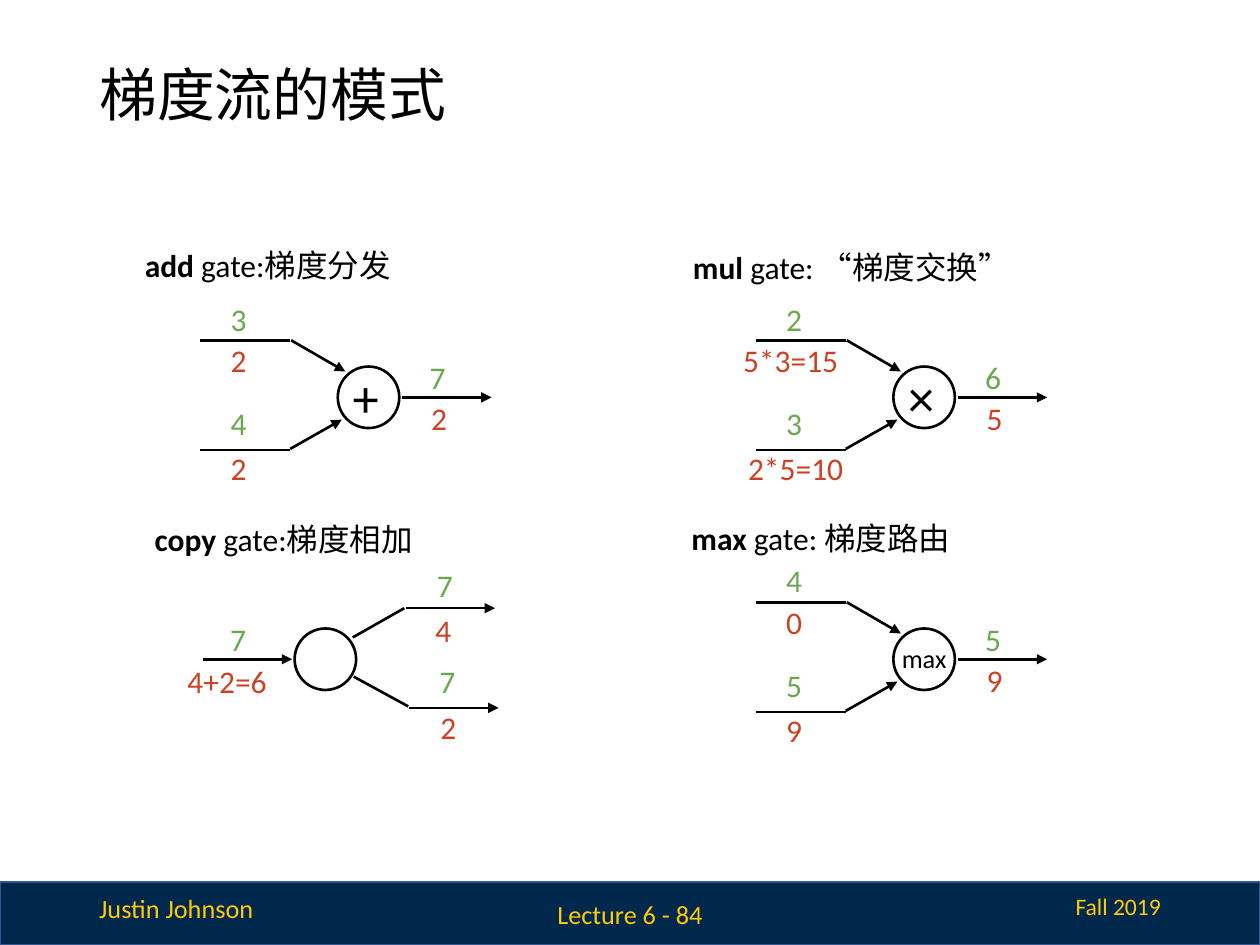
from lxml import etree
from pptx import Presentation
from pptx.dml.color import RGBColor
from pptx.enum import shapes, text
from pptx.oxml.ns import qn
from pptx.util import Cm, Pt

FONT = "Calibri"
BLACK, GREEN, RED = "000000", "6AA84F", "CC4125"
NAVY, EDGE, MAIZE = "00274C", "325491", "FFCB05"
DIAMETER, INSET = 1.24, 0.25
LABEL_HEIGHT = 1.09

# All lengths are in cm; everything in a gate is measured from its node's top left.
# Wires: x1, y1, x2, y2, arrowhead
JOIN_WIRES = [
    (1.3, 0.62, 3.1, 0.62, True),
    (-2.77, 1.68, -0.96, 1.68, False),
    (-2.77, -0.53, -0.96, -0.53, False),
    (-0.96, 1.66, 0.08, 1.07, True),
    (-0.94, -0.53, 0.15, 0.1, True),
]
COPY_WIRES = [
    (-1.85, 0.62, -0.05, 0.62, True),
    (2.31, 1.6, 4.11, 1.6, True),
    (2.24, -0.41, 4.04, -0.41, True),
    (1.17, 0.18, 2.21, -0.41, False),
    (1.19, 0.97, 2.29, 1.57, False),
]


def join_labels(values, gradients, shifts=(0, 0)):
    """Labels of a two-input gate: upper input, lower input, output."""
    value_spots = [(-2.41, -1.6), (-2.41, 0.51), (1.6, -0.43)]
    gradient_spots = [(-2.41 - shifts[0], -0.76), (-2.41 - shifts[1], 1.42), (1.63, 0.41)]
    return ([(word, *spot, GREEN) for word, spot in zip(values, value_spots)]
            + [(word, *spot, RED) for word, spot in zip(gradients, gradient_spots)])


GATES = [
    {"name": "add", "rest": " gate:梯度分发", "heading": (2.67, 4.72), "node": (6.81, 7.39),
     "symbol": ("+", 0.05, -0.28, 30), "wires": JOIN_WIRES,
     "labels": join_labels("347", "222")},
    {"name": "mul", "rest": " gate: “梯度交换”", "heading": (13.72, 4.75), "node": (18.01, 7.39),
     "symbol": ("×", 0.05, -0.28, 30), "wires": JOIN_WIRES,
     "labels": join_labels("236", ["5*3=15", "2*5=10", "5"], (0.87, 0.77))},
    {"name": "copy", "rest": " gate:梯度相加", "heading": (2.87, 10.24), "node": (5.94, 12.67),
     "symbol": None, "wires": COPY_WIRES,
     "labels": [("7", 2.62, -1.5, GREEN), ("7", 2.67, 0.43, GREEN),
                ("7", -1.55, -0.43, GREEN), ("4+2=6", -2.41, 0.43, RED),
                ("4", 2.59, -0.61, RED), ("2", 2.69, 1.35, RED)]},
    {"name": "max", "rest": " gate: 梯度路由", "heading": (13.69, 10.21), "node": (18.01, 12.67),
     "symbol": ("max", -0.08, 0.03, 15), "wires": JOIN_WIRES,
     "labels": join_labels("455", "099")},
]

LEFT, CENTER, RIGHT = (text.PP_ALIGN.LEFT, text.PP_ALIGN.CENTER, text.PP_ALIGN.RIGHT)
TOP, MIDDLE = text.MSO_ANCHOR.TOP, text.MSO_ANCHOR.MIDDLE
# Text, left, top, width, height, size, alignment, anchor
FOOTER = [
    ("Justin Johnson", 1.75, 17.86, 3.8, 0.89, 15, LEFT, TOP),
    ("Fall 2019", 18.62, 17.86, 5.03, 0.84, 13.5, RIGHT, TOP),
    ("Lecture 6 - 84", 9.27, 17.91, 6.86, 1.02, 15, CENTER, MIDDLE),
]


def color(hex_value):
    return RGBColor.from_string(hex_value)


def add_span(para, words, size, hex_value, bold=False):
    span = para.add_run()
    span.text = words
    for name, value in {"name": FONT, "size": Pt(size), "bold": bold}.items():
        setattr(span.font, name, value)
    span.font.color.rgb = color(hex_value)


def add_box(page, left, top, width, height, **frame_format):
    """Add a text box and return its first paragraph."""
    frame = page.shapes.add_textbox(Cm(left), Cm(top), Cm(width), Cm(height)).text_frame
    for name, value in {"word_wrap": True, **frame_format}.items():
        setattr(frame, name, value)
    return frame.paragraphs[0]


def add_diagram_box(page, left, top, width, height=LABEL_HEIGHT):
    return add_box(page, left, top, width, height,
                   margin_top=Cm(INSET), margin_bottom=Cm(INSET))


def add_wire(page, x1, y1, x2, y2, arrow):
    wire = page.shapes.add_connector(shapes.MSO_CONNECTOR.STRAIGHT,
                                     Cm(x1), Cm(y1), Cm(x2), Cm(y2))
    wire.line.color.rgb = color(BLACK)
    wire.line.width = Pt(1.5)
    if arrow:
        etree.SubElement(wire.line._get_or_add_ln(), qn("a:tailEnd"), type="triangle")
    etree.SubElement(wire._element.spPr, qn("a:effectLst"))


def add_shape(page, kind, left, top, width, height, fill, line, weight):
    shape = page.shapes.add_shape(kind, Cm(left), Cm(top), Cm(width), Cm(height))
    shape.shadow.inherit = False
    if fill:
        shape.fill.solid()
        shape.fill.fore_color.rgb = color(fill)
    else:
        shape.fill.background()
    shape.line.color.rgb = color(line)
    shape.line.width = Pt(weight)


def add_gate(page, gate):
    para = add_diagram_box(page, *gate["heading"], 9.88, 2.06)
    add_span(para, gate["name"], 18, BLACK, bold=True)
    add_span(para, gate["rest"], 18, BLACK)

    x, y = gate["node"]
    add_shape(page, shapes.MSO_SHAPE.OVAL, x, y, DIAMETER, DIAMETER, None, BLACK, 1.5)
    if gate["symbol"]:
        symbol, dx, dy, size = gate["symbol"]
        para = add_diagram_box(page, x + dx, y + dy, 1.52 if len(symbol) > 1 else DIAMETER)
        add_span(para, symbol, size, BLACK)
    for x1, y1, x2, y2, arrow in gate["wires"]:
        add_wire(page, x + x1, y + y1, x + x2, y + y2, arrow)
    for words, dx, dy, hex_value in gate["labels"]:
        width = 2.6 if len(words) > 1 else 1.07
        add_span(add_diagram_box(page, x + dx, y + dy, width), words, 18, hex_value)


def add_title(page, words):
    title = page.shapes.title
    place = {"left": 1.75, "top": 1.02, "width": 21.9, "height": 1.9}
    for name, value in place.items():
        setattr(title, name, Cm(value))
    frame = title.text_frame
    frame.auto_size = text.MSO_AUTO_SIZE.NONE
    frame.vertical_anchor = MIDDLE
    para = frame.paragraphs[0]
    para.alignment = LEFT
    para.line_spacing = 0.9
    add_span(para, words, 33, BLACK)


def main():
    deck = Presentation()
    deck.slide_width, deck.slide_height = Cm(25.4), Cm(19.05)
    page = deck.slides.add_slide(deck.slide_layouts[5])
    add_shape(page, shapes.MSO_SHAPE.RECTANGLE, 0, 17.78, 25.4, 1.27, NAVY, EDGE, 1)
    for words, left, top, width, height, size, alignment, anchor in FOOTER:
        para = add_box(page, left, top, width, height, vertical_anchor=anchor)
        para.alignment = alignment
        add_span(para, words, size, MAIZE)
    add_title(page, "梯度流的模式")
    for gate in GATES:
        add_gate(page, gate)
    deck.save("out.pptx")


if __name__ == "__main__":
    main()
